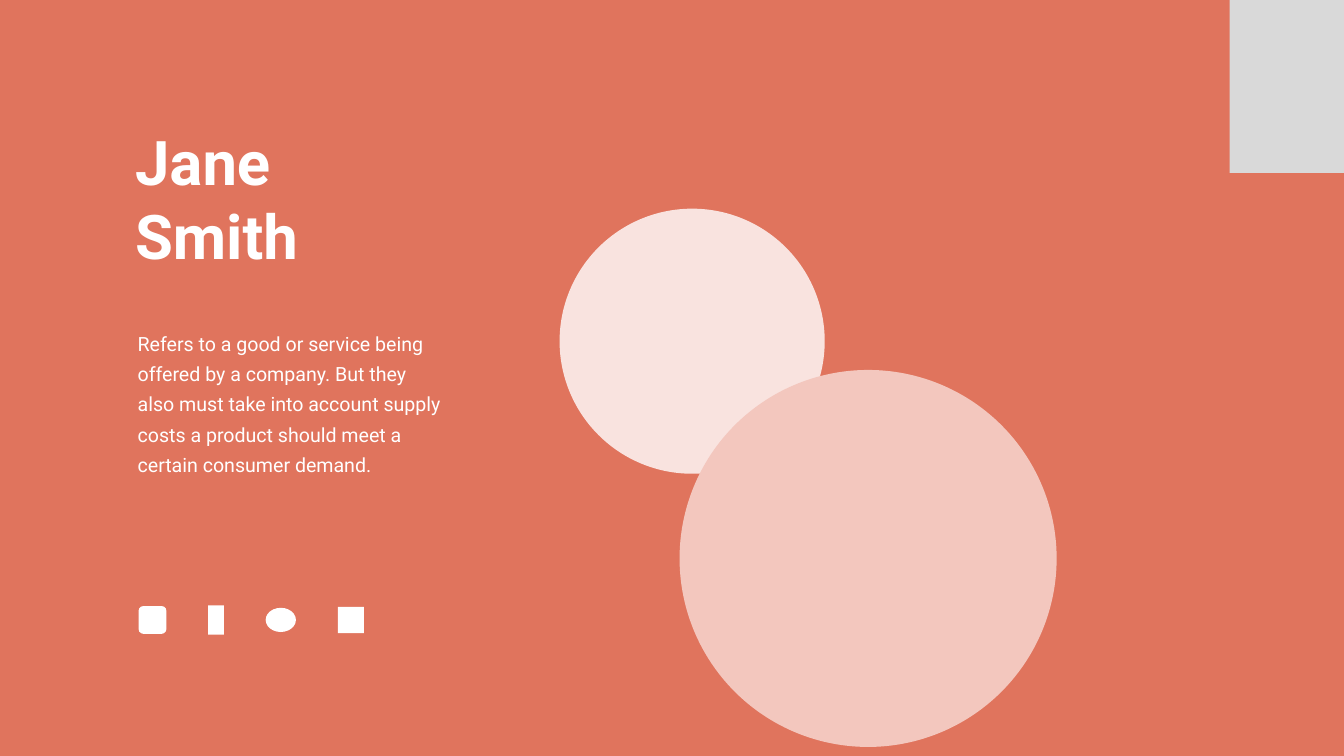
from pptx import Presentation
from pptx.dml.color import RGBColor
from pptx.enum.shapes import MSO_SHAPE
from pptx.enum.text import MSO_ANCHOR, MSO_AUTO_SIZE, PP_ALIGN
from pptx.util import Inches, Pt

CORAL = RGBColor(0xE0, 0x74, 0x5D)
GREY = RGBColor(0xD9, 0xD9, 0xD9)
PALE_PINK = RGBColor(0xF9, 0xE3, 0xDF)
PINK = RGBColor(0xF3, 0xC7, 0xBE)
WHITE = RGBColor(0xFF, 0xFF, 0xFF)
FONT = "Roboto"
TITLE_ONLY = 5

BIOGRAPHY = (
    "Refers to a good or service being offered by a company. But they also must "
    "take into account supply costs a product should meet a certain consumer demand."
)


def add_plain_shape(slide, kind, left, top, width, height, color):
    shape = slide.shapes.add_shape(
        kind, Inches(left), Inches(top), Inches(width), Inches(height))
    shape.shadow.inherit = False
    shape.fill.solid()
    shape.fill.fore_color.rgb = color
    shape.line.fill.background()
    return shape


def add_text(paragraph, text, size, bold=False):
    paragraph.alignment = PP_ALIGN.LEFT
    run = paragraph.add_run()
    run.text = text
    run.font.name = FONT
    run.font.size = Pt(size)
    run.font.bold = bold
    run.font.color.rgb = WHITE


def set_frame(frame, horizontal, vertical):
    """Wrap the text from the top of its box, with the given insets."""
    frame.word_wrap = True
    frame.auto_size = MSO_AUTO_SIZE.NONE
    frame.vertical_anchor = MSO_ANCHOR.TOP
    frame.margin_left = frame.margin_right = Inches(horizontal)
    frame.margin_top = frame.margin_bottom = Inches(vertical)


def place_name(slide, left, top, width, height):
    title = slide.shapes.title
    title.left, title.top = Inches(left), Inches(top)
    title.width, title.height = Inches(width), Inches(height)
    frame = title.text_frame
    set_frame(frame, 0.1, 0.05)
    add_text(frame.paragraphs[0], "Jane", 88, bold=True)
    add_text(frame.add_paragraph(), "Smith", 88, bold=True)


def add_biography(slide, left, top, width, height):
    box = slide.shapes.add_textbox(
        Inches(left), Inches(top), Inches(width), Inches(height))
    frame = box.text_frame
    set_frame(frame, 0.24, 0.12)
    paragraph = frame.paragraphs[0]
    paragraph.line_spacing = Pt(43)
    add_text(paragraph, BIOGRAPHY, 28)


def add_social_markers(slide, left, top, height):
    """Place a row of plain markers, evenly spaced and centred on one line."""
    gap = 0.83
    markers = [
        (MSO_SHAPE.ROUNDED_RECTANGLE, 0.55, 0.55),
        (MSO_SHAPE.RECTANGLE, 0.31, 0.58),
        (MSO_SHAPE.OVAL, 0.6, 0.48),
        (MSO_SHAPE.RECTANGLE, 0.52, 0.52),
    ]
    for kind, marker_width, marker_height in markers:
        marker_top = top + (height - marker_height) / 2
        add_plain_shape(slide, kind, left, marker_top, marker_width, marker_height, WHITE)
        left += marker_width + gap


def add_circles(slide, left, top):
    add_plain_shape(slide, MSO_SHAPE.OVAL, left, top, 5.26, 5.26, PALE_PINK)
    add_plain_shape(slide, MSO_SHAPE.OVAL, left + 2.38, top + 3.2, 7.48, 7.48, PINK)


def main():
    presentation = Presentation()
    presentation.slide_width = Inches(26.66)
    presentation.slide_height = Inches(15)
    slide = presentation.slides.add_slide(presentation.slide_layouts[TITLE_ONLY])
    slide.background.fill.solid()
    slide.background.fill.fore_color.rgb = CORAL

    add_plain_shape(slide, MSO_SHAPE.RECTANGLE, 24.39, 0, 2.27, 3.43, GREY)
    place_name(slide, 2.58, 2.41, 4.07, 3.06)
    add_biography(slide, 2.49, 6.34, 6.58, 3.2)
    add_social_markers(slide, 2.75, 12.01, 0.58)
    add_circles(slide, 11.1, 4.14)
    presentation.save("out.pptx")


if __name__ == "__main__":
    main()
